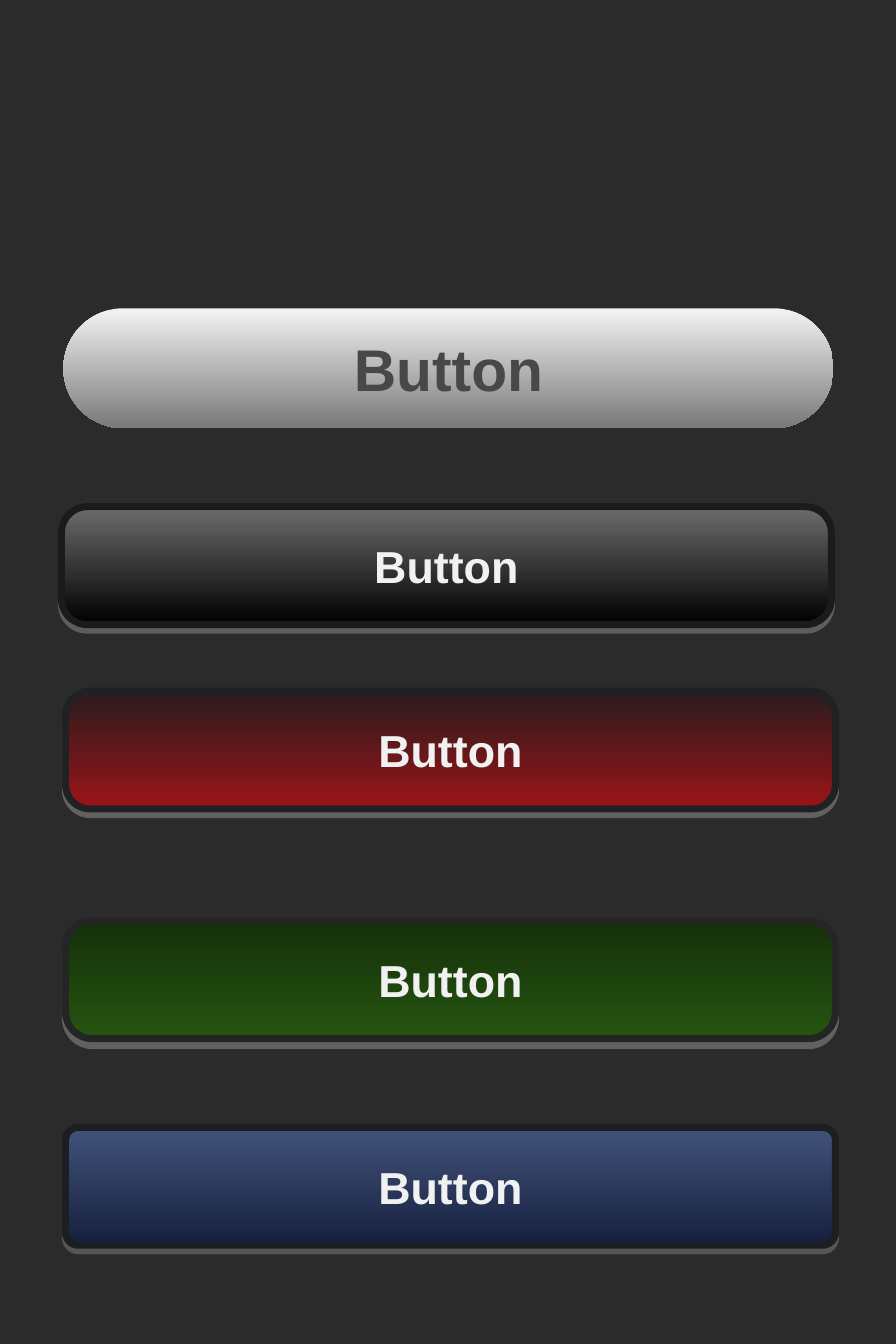
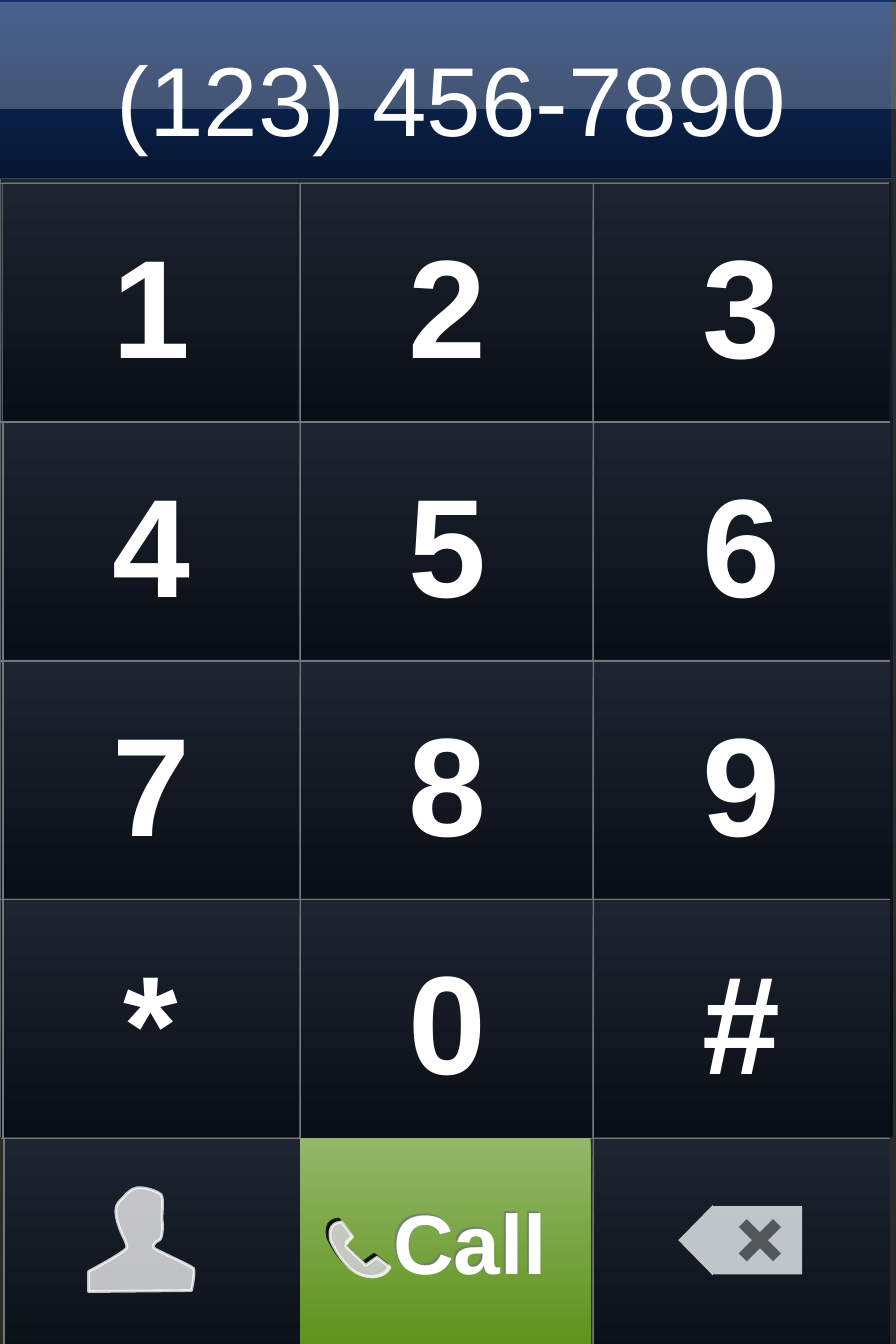
import pptx
import pptx.dml.color
import pptx.enum.shapes
import pptx.enum.text
import pptx.oxml.ns
import pptx.util
from lxml import etree

Inches = pptx.util.Inches
Pt = pptx.util.Pt
qn = pptx.oxml.ns.qn
SHAPE = pptx.enum.shapes.MSO_SHAPE
STRAIGHT = pptx.enum.shapes.MSO_CONNECTOR.STRAIGHT

BACKGROUND = "2B2B2B"
WHITE = "FFFFFF"
KEY_FILL = ("1E2530", "090D16")
KEY_EDGE = "71777D"
KEY_EDGE_DARK = "13171F"
KEY_SHADOW = (KEY_EDGE, 75, 1, 225)


def paint(fill, *colors, opacity=100):
    """Fill with one colour, or with a gradient from top to bottom."""
    if len(colors) == 2:
        fill.gradient()
        fill.gradient_angle = 270
        for stop, color in zip(fill.gradient_stops, colors):
            stop.color.rgb = pptx.dml.color.RGBColor.from_string(color)
        return
    fill.solid()
    fill.fore_color.rgb = pptx.dml.color.RGBColor.from_string(colors[0])
    if opacity < 100:
        color_element = fill._xPr.find(qn("a:solidFill"))[0]
        etree.SubElement(color_element, qn("a:alpha"), val=str(opacity * 1000))


def style(shape, text="", *, colors=(), opacity=100, line=None, line_width=1,
          shadow=None, size=32, color=WHITE, bold=True, wrap=True):
    """Format a shape or connector; shadow is colour, opacity, distance, angle."""
    if colors:
        paint(shape.fill, *colors, opacity=opacity)
    if line:
        paint(shape.line.fill, line, opacity=opacity)
        shape.line.width = Pt(line_width)
    else:
        shape.line.fill.background()
    effects = etree.SubElement(shape._element.spPr, qn("a:effectLst"))
    if shadow:
        shadow_color, shadow_opacity, distance, angle = shadow
        outer = etree.SubElement(
            effects, qn("a:outerShdw"), blurRad="0", dist=str(Pt(distance)),
            dir=str(angle * 60000), algn="ctr", rotWithShape="0")
        shade = etree.SubElement(outer, qn("a:srgbClr"), val=shadow_color)
        etree.SubElement(shade, qn("a:alpha"), val=str(shadow_opacity * 1000))
    if text:
        frame = shape.text_frame
        frame.margin_left = frame.margin_right = 0
        frame.margin_top = frame.margin_bottom = 0
        frame.vertical_anchor = pptx.enum.text.MSO_ANCHOR.MIDDLE
        frame.word_wrap = wrap
        paragraph = frame.paragraphs[0]
        paragraph.alignment = pptx.enum.text.PP_ALIGN.CENTER
        run = paragraph.add_run()
        run.text = text
        run.font.name = "Arial"
        run.font.size = Pt(size)
        run.font.bold = bold
        paint(run.font.fill, color)


presentation = pptx.Presentation()
presentation.slide_width = Inches(8.89)
presentation.slide_height = Inches(13.34)
paint(presentation.slide_master.background.fill, BACKGROUND)
blank_layout = presentation.slide_layouts[6]

# Slide 1: buttons
slide = presentation.slides.add_slide(blank_layout)
pill = slide.shapes.add_shape(
    SHAPE.ROUNDED_RECTANGLE, Inches(0.63), Inches(3.06), Inches(7.64), Inches(1.19))
pill.adjustments[0] = 0.5
style(pill, "Button", colors=("F3F3F3", "797979"), size=42, color="484848")

# left, top, corner, gradient, border, shadow opacity, shadow distance
buttons = [
    (0.61, 5.03, 0.22, ("6C6C6C", "000000"), "1B1B1E", 24, 4),
    (0.65, 6.86, 0.21, ("2A1C1E", "9C1418"), "202123", 25, 4),
    (0.65, 9.14, 0.23, ("153109", "255411"), "252525", 25, 5),
    (0.65, 11.19, 0.11, ("42527A", "15203E"), "1C1E21", 20, 4),
]
for left, top, corner, gradient, border, shadow_opacity, distance in buttons:
    button = slide.shapes.add_shape(
        SHAPE.ROUNDED_RECTANGLE, Inches(left), Inches(top), Inches(7.64), Inches(1.17))
    button.adjustments[0] = corner
    style(button, "Button", colors=gradient, line=border, line_width=5,
          shadow=(WHITE, shadow_opacity, distance, 90), color="F1F1F1")

# Slide 2: phone keypad
slide = presentation.slides.add_slide(blank_layout)
panels = [
    (0, 0, 8.84, 1.94, ("0F306B", "06142C"), 100, None),
    (0, 0.02, 8.89, 1.06, (WHITE,), 24, None),
    (0.01, 1.78, 8.85, 9.51, KEY_FILL, 100, KEY_SHADOW),
    (2.92, 11.29, 2.94, 2.37, ("94B76A", "558D10"), 100, None),
]
for left, top, width, height, colors, opacity, shadow in panels:
    panel = slide.shapes.add_shape(
        SHAPE.ROUNDED_RECTANGLE if shadow is None else SHAPE.RECTANGLE,
        Inches(left), Inches(top), Inches(width), Inches(height))
    if shadow is None:
        panel.adjustments[0] = 0
    style(panel, colors=colors, opacity=opacity, shadow=shadow)

number = slide.shapes.add_textbox(Inches(0.87), Inches(0.13), Inches(7.22), Inches(1.68))
style(number, "(123) 456-7890", size=70, bold=False)

# Each key is left, width and the place of its dark right edge
KEY_TOP, KEY_HEIGHT, EDGE_OVERLAP = 1.82, 2.37, 0.03
key_columns = [(0.03, 2.94, 2.95), (2.98, 2.91, 5.92), (5.89, 2.94, 8.83)]
key_rows = ["123", "456", "789", "*0#", ("", None, "")]
for row, labels in enumerate(key_rows):
    top = KEY_TOP + row * KEY_HEIGHT
    bottom = top + KEY_HEIGHT
    for (left, width, dark_edge), label in zip(key_columns, labels):
        if label is None:
            continue
        if label:
            shapes = slide.shapes
        else:
            shapes = slide.shapes.add_group_shape().shapes
            left = max(left, 0.04)
        key = shapes.add_shape(
            SHAPE.RECTANGLE, Inches(left), Inches(top), Inches(width), Inches(KEY_HEIGHT))
        style(key, label, colors=KEY_FILL, shadow=KEY_SHADOW, size=100)
        edges = [(left - EDGE_OVERLAP, top, left + width, top, KEY_EDGE)]
        if label != "1":
            edges.append((left, top, left, bottom, KEY_EDGE))
        if row == 0:
            edges.append((dark_edge, bottom, dark_edge, top, KEY_EDGE_DARK))
        for x1, y1, x2, y2, color in edges:
            edge = shapes.add_connector(
                STRAIGHT, Inches(x1), Inches(y1), Inches(x2), Inches(y2))
            style(edge, line=color)

# Each step is one point for a straight side, or three for a Bézier curve
handset = [
    [(3.39, 12.13)], [(3.5, 12.28)],
    [(3.5, 12.28), (3.42, 12.35), (3.43, 12.37)],
    [(3.44, 12.38), (3.63, 12.56), (3.63, 12.56)],
    [(3.74, 12.48)], [(3.87, 12.58)],
    [(3.87, 12.58), (3.81, 12.72), (3.6, 12.66)],
    [(3.4, 12.6), (3.28, 12.31), (3.28, 12.31)],
    [(3.28, 12.31), (3.26, 12.23), (3.29, 12.18)],
    [(3.32, 12.13), (3.39, 12.13), (3.39, 12.13)],
]
person = [
    [(0.88, 12.82)], [(0.88, 12.62)],
    [(0.88, 12.62), (1.26, 12.42), (1.26, 12.38)],
    [(1.26, 12.35), (1.23, 12.29), (1.23, 12.29)],
    [(1.23, 12.29), (1.09, 12.02), (1.18, 11.93)],
    [(1.26, 11.85), (1.29, 11.8), (1.36, 11.79)],
    [(1.43, 11.78), (1.56, 11.82), (1.6, 11.86)],
    [(1.63, 11.91), (1.6, 12.07), (1.61, 12.12)],
    [(1.62, 12.17), (1.61, 12.3), (1.58, 12.31)],
    [(1.54, 12.32), (1.5, 12.38), (1.53, 12.39)],
    [(1.55, 12.41), (1.89, 12.56), (1.92, 12.59)],
    [(1.94, 12.63), (1.9, 12.81), (1.9, 12.81)],
    [(0.88, 12.82)],
]
icons = [(handset, 75, ("000000", 75, 3, 225)), (person, 74, None)]
for outline, opacity, shadow in icons:
    corners = [(Inches(step[-1][0]), Inches(step[-1][1])) for step in outline]
    builder = slide.shapes.build_freeform(*corners[0])
    builder.add_line_segments(corners[1:], close=True)
    icon = builder.convert_to_shape()
    sides = list(icon._element.iter(qn("a:lnTo")))
    for side, step in zip(sides, outline[1:]):
        if len(step) == 3:
            side.tag = qn("a:cubicBezTo")
            side.clear()
            for x, y in step:
                etree.SubElement(side, qn("a:pt"), x=str(Inches(x) - icon.left),
                                 y=str(Inches(y) - icon.top))
    style(icon, colors=(WHITE,), opacity=opacity, line=WHITE, line_width=2, shadow=shadow)

call_label = slide.shapes.add_textbox(Inches(3.9), Inches(11.82), Inches(1.53), Inches(1))
style(call_label, "Call", size=60, wrap=False, shadow=(KEY_EDGE, 75, 2, 225))

delete_shapes = slide.shapes.add_group_shape().shapes
delete_arrow = delete_shapes.add_shape(
    SHAPE.RIGHT_ARROW, Inches(6.73), Inches(11.96), Inches(1.23), Inches(0.7))
delete_arrow.rotation = 180
delete_arrow.adjustments[0] = 0.97
delete_arrow.adjustments[1] = 0.49
style(delete_arrow, colors=("E0E6E8",), opacity=84)
for start_y, end_y in ((12.14, 12.48), (12.48, 12.14)):
    stroke = delete_shapes.add_connector(
        STRAIGHT, Inches(7.37), Inches(start_y), Inches(7.71), Inches(end_y))
    style(stroke, line="55585B", line_width=8)

presentation.save("out.pptx")
